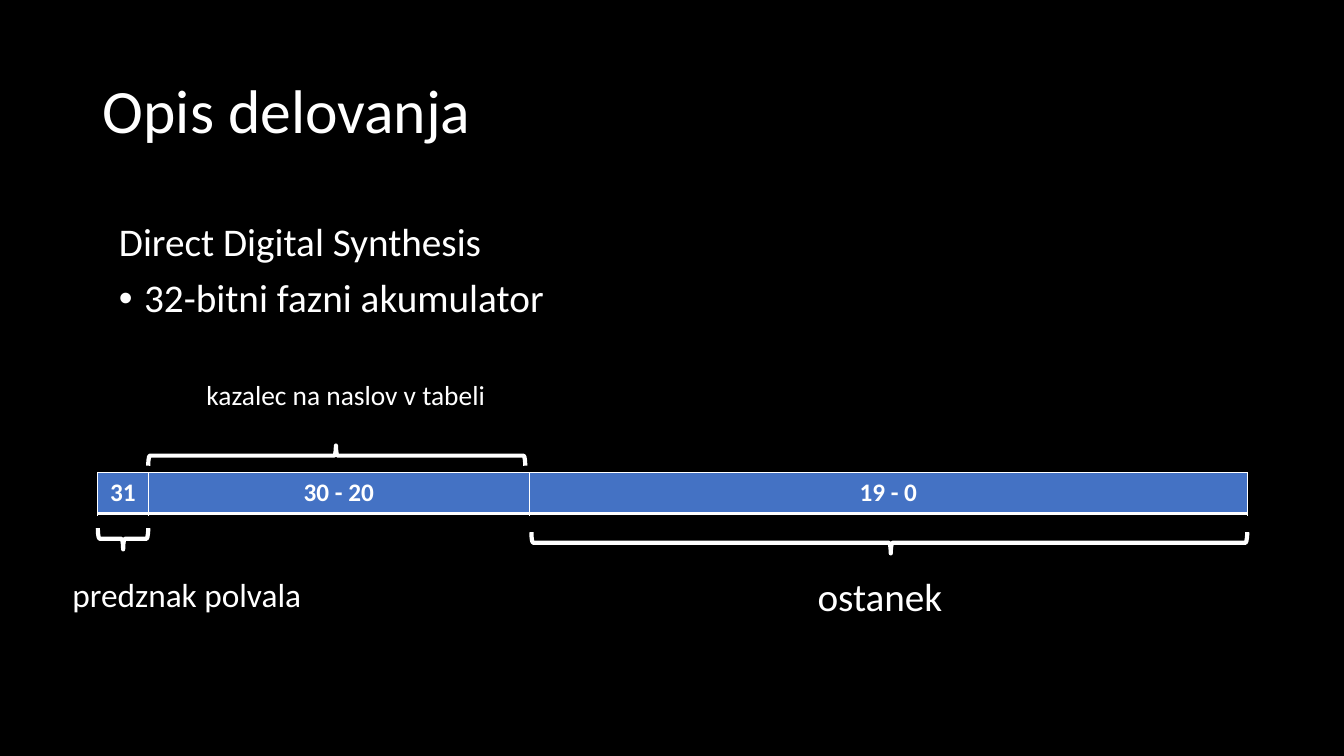
from lxml import etree
from pptx import Presentation
from pptx.dml.color import RGBColor
from pptx.enum.shapes import MSO_SHAPE
from pptx.enum.text import MSO_ANCHOR, MSO_AUTO_SIZE, PP_ALIGN
from pptx.oxml.ns import qn
from pptx.util import Inches, Pt

WHITE = "FFFFFF"
BLUE = "4472C4"


def color(hex_code):
    return RGBColor.from_string(hex_code)


def add_text(p, text, size, spacing=0.9, align=PP_ALIGN.LEFT, bold=False):
    p.alignment = align
    p.line_spacing = spacing
    r = p.add_run()
    r.text = text
    r.font.name = "Calibri"
    r.font.size = Pt(size)
    r.font.bold = bold
    r.font.color.rgb = color(WHITE)


prs = Presentation()
prs.slide_width = Inches(13.33)
prs.slide_height = Inches(7.5)
s = prs.slides.add_slide(prs.slide_layouts[1])
s.background.fill.solid()
s.background.fill.fore_color.rgb = color("000000")

# Title and list
title, body = s.placeholders
for sp, top, height, anchor in [
    (title, 0.4, 1.45, MSO_ANCHOR.MIDDLE),
    (body, 2.16, 1.4, MSO_ANCHOR.TOP),
]:
    sp.left = Inches(0.92 if sp is title else 1.08)
    sp.top, sp.width, sp.height = Inches(top), Inches(11.5), Inches(height)
    sp.text_frame.vertical_anchor = anchor
    sp.text_frame.auto_size = MSO_AUTO_SIZE.NONE
add_text(title.text_frame.paragraphs[0], "Opis delovanja", 44)

heading = body.text_frame.paragraphs[0]
item = body.text_frame.add_paragraph()
for p, indent, bullet in [(heading, 0, None), (item, 0.25, "•")]:
    pPr = p._p.get_or_add_pPr()
    pPr.set("marL", str(Inches(indent)))
    pPr.set("indent", str(Inches(-indent)))
    if bullet:
        etree.SubElement(pPr, qn("a:buFont"), typeface="Arial")
        etree.SubElement(pPr, qn("a:buChar"), char=bullet)
    else:
        etree.SubElement(pPr, qn("a:buNone"))
heading.space_before = Pt(0)
item.space_before = Pt(10)
add_text(heading, "Direct Digital Synthesis", 28)
add_text(item, "32-bitni fazni akumulator", 28)

# Accumulator bit fields
fields = [("31", 0.5), ("30 - 20", 3.78), ("19 - 0", 7.12)]
table = s.shapes.add_table(
    1, len(fields), Inches(0.97), Inches(4.69), Inches(11.4), Inches(0.4)
).table
for i, (bits, width) in enumerate(fields):
    table.columns[i].width = Inches(width)
    cell = table.cell(0, i)
    cell.vertical_anchor = MSO_ANCHOR.TOP
    cell.fill.solid()
    cell.fill.fore_color.rgb = color(BLUE)
    add_text(cell.text_frame.paragraphs[0], bits, 18, 1.0, PP_ALIGN.CENTER, True)
    tcPr = cell._tc.get_or_add_tcPr()
    for n, (side, weight) in enumerate([("L", 1), ("R", 1), ("T", 1), ("B", 3)]):
        ln = etree.Element(qn(f"a:ln{side}"), w=str(Pt(weight)))
        fill = etree.SubElement(ln, qn("a:solidFill"))
        etree.SubElement(fill, qn("a:srgbClr"), val=WHITE)
        tcPr.insert(n, ln)

# Braces: left, top, depth and span as seen; 270 points up, 90 points down
for left, top, depth, span, rotation in [
    (1.47, 4.42, 0.2, 3.74, 270),
    (5.27, 5.28, 0.21, 7.1, 90),
    (0.97, 5.24, 0.21, 0.5, 90),
]:
    shift = (span - depth) / 2
    brace = s.shapes.add_shape(
        MSO_SHAPE.RIGHT_BRACE,
        Inches(left + shift), Inches(top - shift), Inches(depth), Inches(span),
    )
    brace.rotation = rotation
    brace.adjustments[0] = 0.083
    brace.adjustments[1] = 0.498
    brace.shadow.inherit = False
    brace.fill.background()
    brace.line.color.rgb = color(WHITE)
    brace.line.width = Pt(3)

# Field labels
for text, left, top, width, height, size, spacing in [
    ("kazalec na naslov v tabeli", 1.95, 3.79, 3.26, 0.63, 19.6, 0.7),
    ("predznak polvala", 0.62, 5.72, 2.58, 0.58, 23.8, 0.8),
    ("ostanek", 8.01, 5.68, 2.58, 0.58, 28, 0.9),
]:
    label = s.shapes.add_textbox(Inches(left), Inches(top), Inches(width), Inches(height))
    label.text_frame.word_wrap = True
    add_text(label.text_frame.paragraphs[0], text, size, spacing)

prs.save("out.pptx")
